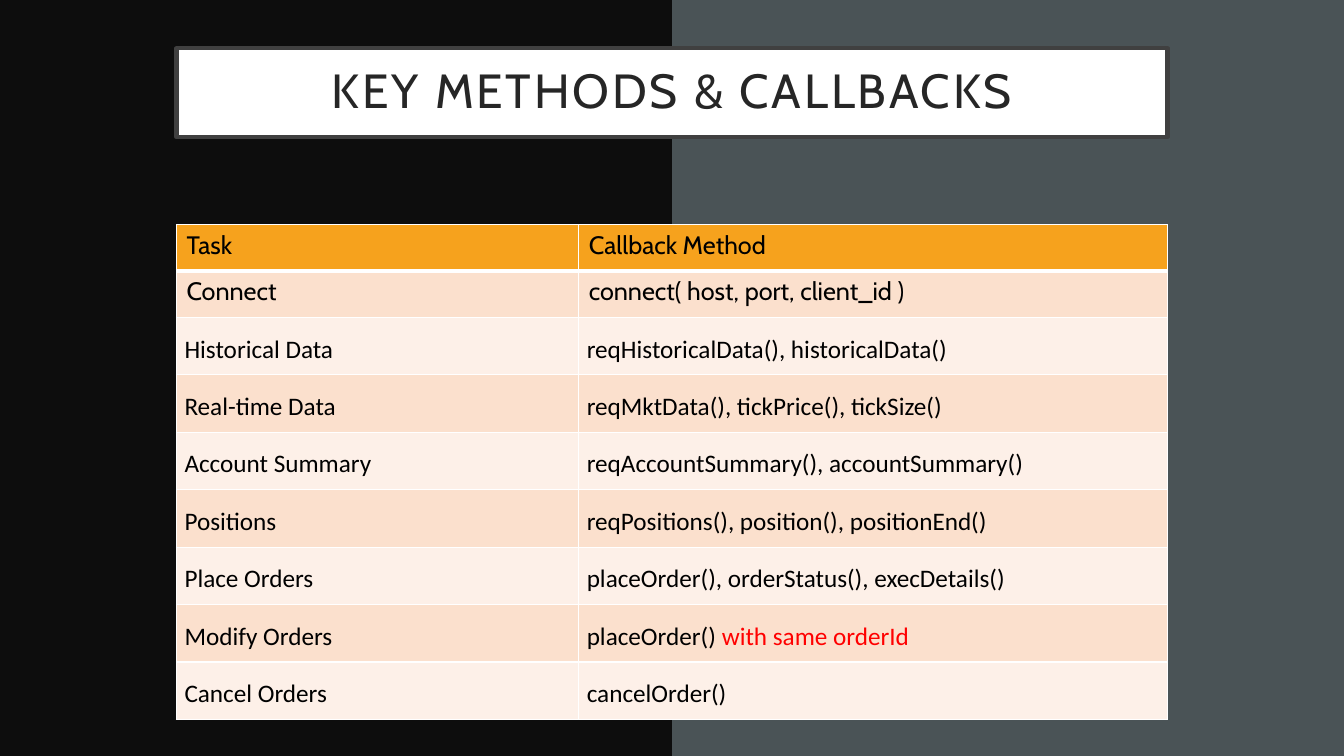
import dataclasses
import typing

import lxml.etree
import pptx
import pptx.dml.color
import pptx.enum.shapes
import pptx.enum.text
import pptx.oxml.ns
import pptx.util

# The page is a grid of 1333 columns by 750 rows, each 0.01 inch.
PAGE_COLUMNS, PAGE_ROWS = 1333, 750
LEFT, WIDTH = 175, 983
TABLE_TOP = 223
TASK_WIDTH = 399
SHORT_ROW, TALL_ROW = 46, 57


@dataclasses.dataclass(frozen=True)
class Theme:
    slate: str = "4A5356"
    night: str = "0D0D0D"
    white: str = "FFFFFF"
    frame: str = "404040"
    title_ink: str = "262626"
    ink: str = "000000"
    warning: str = "FF0000"
    header: str = "F6A21D"
    bands: tuple[str, str] = ("FBE0CD", "FDF0E8")
    display_font: str = "Cabin"
    body_font: str = "Calibri"
    title_size: float = 34.2
    table_size: float = 18
    thin: float = 1
    thick: float = 3


@dataclasses.dataclass(frozen=True)
class Task:
    name: str
    callbacks: str
    warning: str = ""
    roomy: bool = True


@dataclasses.dataclass(frozen=True)
class Panel:
    left: int
    top: int
    width: int
    height: int
    fill: str
    border: typing.Optional[str] = None


THEME = Theme()
TASKS = [
    Task("Task", "Callback Method", roomy=False),
    Task("Connect", "connect( host, port, client_id )", roomy=False),
    Task("Historical Data", "reqHistoricalData(), historicalData()"),
    Task("Real-time Data", "reqMktData(), tickPrice(), tickSize()"),
    Task("Account Summary", "reqAccountSummary(), accountSummary()"),
    Task("Positions", "reqPositions(), position(), positionEnd()"),
    Task("Place Orders", "placeOrder(), orderStatus(), execDetails()"),
    Task("Modify Orders", "placeOrder() ", "with same orderId"),
    Task("Cancel Orders", "cancelOrder()"),
]


def grid(steps: float) -> int:
    return pptx.util.Inches(steps / 100)


def paint(fill, color: str) -> None:
    fill.solid()
    fill.fore_color.rgb = pptx.dml.color.RGBColor.from_string(color)


def style_span(span, font: str, size: float, color: str) -> None:
    span.font.name = font
    span.font.size = pptx.util.Pt(size)
    span.font.bold = False
    span.font.color.rgb = pptx.dml.color.RGBColor.from_string(color)


def set_insets(target, horizontal: float, vertical: float) -> None:
    target.margin_left = target.margin_right = grid(horizontal)
    target.margin_top = target.margin_bottom = grid(vertical)


def draw_panel(page, panel: Panel):
    box = page.shapes.add_shape(
        pptx.enum.shapes.MSO_SHAPE.RECTANGLE,
        grid(panel.left), grid(panel.top), grid(panel.width), grid(panel.height))
    box.shadow.inherit = False
    paint(box.fill, panel.fill)
    if panel.border:
        paint(box.line.fill, panel.border)
        box.line.width = pptx.util.Pt(THEME.thick)
    else:
        box.line.fill.background()
    return box


def draw_title(page, text: str) -> None:
    box = draw_panel(page, Panel(LEFT, 48, WIDTH, 88, THEME.white, THEME.frame))
    frame = box.text_frame
    frame.word_wrap = True
    frame.vertical_anchor = pptx.enum.text.MSO_ANCHOR.MIDDLE
    set_insets(frame, 30, 20)
    frame.text = text
    para = frame.paragraphs[0]
    para.alignment = pptx.enum.text.PP_ALIGN.CENTER
    para.line_spacing = 0.9
    span = para.runs[0]
    style_span(span, THEME.display_font, THEME.title_size, THEME.title_ink)
    span.font._element.set("spc", "200")


def set_borders(cell, top: float, bottom: float) -> None:
    """Put white edges first in the cell properties, as the schema asks."""
    properties = cell._tc.get_or_add_tcPr()
    edges = {"lnL": THEME.thin, "lnR": THEME.thin, "lnT": top, "lnB": bottom}
    for place, (edge, width) in enumerate(edges.items()):
        line = lxml.etree.Element(
            pptx.oxml.ns.qn(f"a:{edge}"), w=str(pptx.util.Pt(width)))
        solid = lxml.etree.SubElement(line, pptx.oxml.ns.qn("a:solidFill"))
        lxml.etree.SubElement(
            solid, pptx.oxml.ns.qn("a:srgbClr"), val=THEME.white)
        properties.insert(place, line)


def fill_cell(cell, text: str, warning: str, roomy: bool) -> None:
    cell.text_frame.text = text
    para = cell.text_frame.paragraphs[0]
    if warning:
        para.add_run().text = warning
    font = THEME.body_font if roomy else THEME.display_font
    for span, color in zip(para.runs, (THEME.ink, THEME.warning)):
        style_span(span, font, THEME.table_size, color)
    if roomy:
        set_insets(cell, 8, 10)
        cell.vertical_anchor = pptx.enum.text.MSO_ANCHOR.BOTTOM
        para.line_spacing = 1.07
        para.space_after = pptx.util.Pt(8)


def draw_table(page, tasks: list[Task]) -> None:
    heights = [TALL_ROW if task.roomy else SHORT_ROW for task in tasks]
    table = page.shapes.add_table(
        len(tasks), 2, grid(LEFT), grid(TABLE_TOP),
        grid(WIDTH), grid(sum(heights))).table
    table.horz_banding = False
    for column, width in zip(table.columns, (TASK_WIDTH, WIDTH - TASK_WIDTH)):
        column.width = grid(width)
    for index, (task, height) in enumerate(zip(tasks, heights)):
        table.rows[index].height = grid(height)
        color = THEME.bands[(index - 1) % 2] if index else THEME.header
        top = THEME.thick if index == 1 else THEME.thin
        bottom = THEME.thick if index == 0 else THEME.thin
        contents = ((task.name, ""), (task.callbacks, task.warning))
        for cell, (text, warning) in zip(table.rows[index].cells, contents):
            fill_cell(cell, text, warning, task.roomy)
            paint(cell.fill, color)
            set_borders(cell, top, bottom)


def main() -> None:
    deck = pptx.Presentation()
    deck.slide_width, deck.slide_height = grid(PAGE_COLUMNS), grid(PAGE_ROWS)
    page = deck.slides.add_slide(deck.slide_layouts[6])
    paint(page.background.fill, THEME.slate)
    draw_panel(page, Panel(0, 0, PAGE_COLUMNS / 2, PAGE_ROWS, THEME.night))
    draw_title(page, "KEY METHODS & CALLBACKS")
    draw_table(page, TASKS)
    deck.save("out.pptx")


if __name__ == "__main__":
    main()
